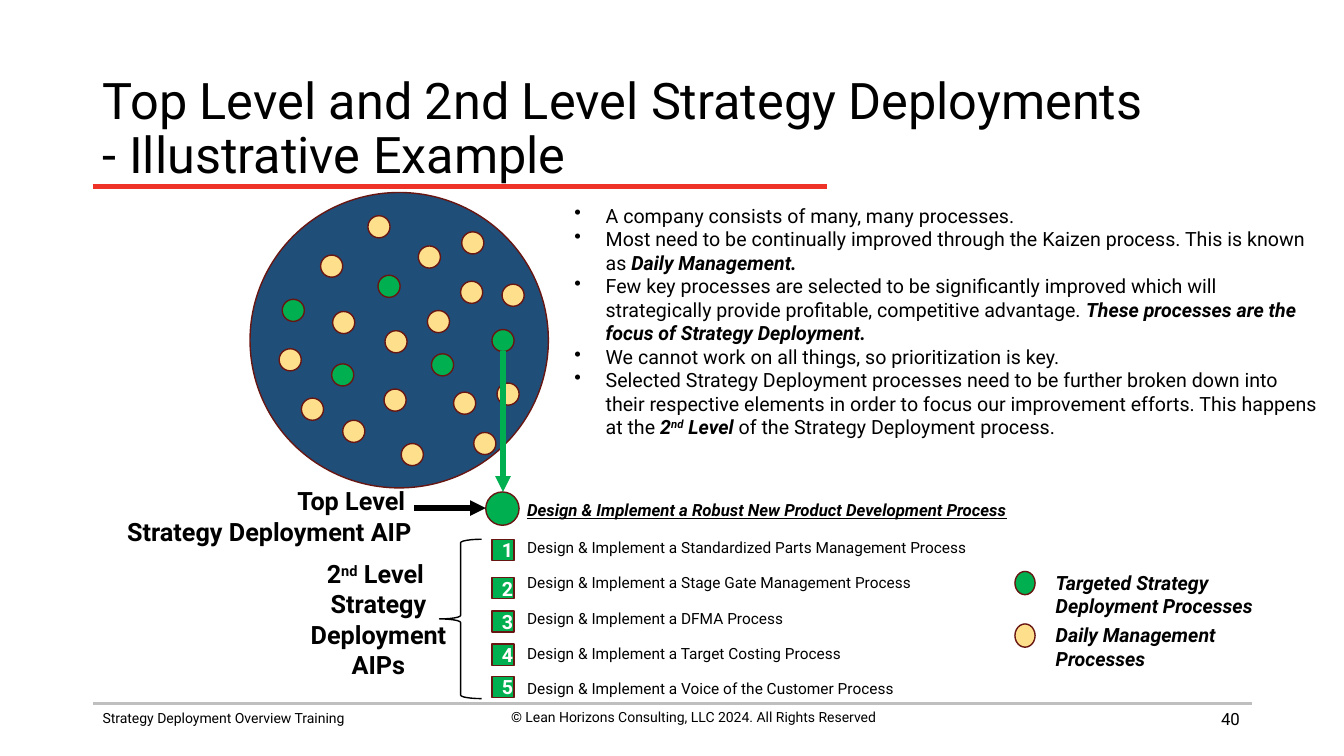
from lxml import etree
from pptx import Presentation
from pptx.dml.color import RGBColor
from pptx.enum.shapes import MSO_CONNECTOR, MSO_SHAPE
from pptx.enum.text import MSO_ANCHOR, MSO_AUTO_SIZE, PP_ALIGN
from pptx.oxml.ns import qn
from pptx.util import Pt

OVAL, RECT, BRACE = MSO_SHAPE.OVAL, MSO_SHAPE.RECTANGLE, MSO_SHAPE.LEFT_BRACE
STRAIGHT = MSO_CONNECTOR.STRAIGHT
LEFT, CENTER, RIGHT = PP_ALIGN.LEFT, PP_ALIGN.CENTER, PP_ALIGN.RIGHT
MIDDLE, TOP = MSO_ANCHOR.MIDDLE, MSO_ANCHOR.TOP
NO_FIT = MSO_AUTO_SIZE.NONE

FONT = "Roboto"
BLACK, WHITE, GRAY, RED = "000000", "FFFFFF", "BFBFBF", "EE3228"
NAVY, GREEN, YELLOW, MAROON = "1F4E79", "00B050", "FEDF8C", "681612"
STRONG = {"bold": True, "italic": True}
RAISED = {**STRONG, "base": 30000}

DOT = 15.8
DAILY = [
    (329.8, 165.6), (305.3, 221.8), (329, 200.9), (244.8, 300.2),
    (324, 280.1), (358.6, 203), (237.6, 222.5), (199.4, 249.1),
    (275, 236.2), (355, 273.6), (229, 182.2), (262.8, 154.1),
    (298.8, 175.7), (338.4, 308.9), (286.6, 316.8), (274.3, 277.9),
    (215.3, 284.4),
]
TARGET = [(236.9, 259.9), (308.2, 252.7), (201.6, 213.8),
          (351.4, 235.4), (270, 196.6)]
POINTS = [
    [("A company consists of many, many processes.", {})],
    [("Most need to be continually improved through the Kaizen process. "
      "This is known as ", {}), ("Daily Management.", STRONG)],
    [("Few key processes are selected to be significantly improved which "
      "will strategically provide profitable, competitive advantage. ", {}),
     ("These processes are the focus of Strategy Deployment.", STRONG)],
    [("We cannot work on all things, so prioritization is key.", {})],
    [("Selected Strategy Deployment processes need to be further broken "
      "down into their respective elements in order to focus our "
      "improvement efforts. This happens at the ", {}),
     ("2", STRONG), ("nd", RAISED), (" Level ", STRONG),
     ("of the Strategy Deployment process.", {})],
]
STEPS = ["Standardized Parts Management", "Stage Gate Management", "DFMA",
         "Target Costing", "Voice of the Customer"]
STEP_TOPS = [385.2, 412.6, 436.3, 460.1, 483.1]


def color(code):
    return RGBColor.from_string(code)


def style(run, size, tint=BLACK, base=0, **marks):
    values = {"name": FONT, "size": Pt(size), **marks}
    for key, value in values.items():
        setattr(run.font, key, value)
    run.font.color.rgb = color(tint)
    if base:
        run.font._element.set("baseline", str(base))


def fill_text(frame, paras, size, align=LEFT, anchor=TOP, **marks):
    """Write paragraphs, each a string or a list of (text, marks) runs."""
    frame.word_wrap = True
    frame.vertical_anchor = anchor
    for i, para in enumerate(paras):
        line = frame.add_paragraph() if i else frame.paragraphs[0]
        line.alignment = align
        for words, extra in [(para, {})] if isinstance(para, str) else para:
            run = line.add_run()
            run.text = words
            style(run, **{"size": size, **marks, **extra})


def add_text(slide, box, paras, size, **format):
    frame = slide.shapes.add_textbox(*map(Pt, box)).text_frame
    fill_text(frame, paras, size, **format)
    return frame


def add_shape(slide, kind, box, fill=None, edge=MAROON):
    shape = slide.shapes.add_shape(kind, *map(Pt, box))
    shape.shadow.inherit = False
    if fill:
        shape.fill.solid()
        shape.fill.fore_color.rgb = color(fill)
    else:
        shape.fill.background()
    shape.line.color.rgb = color(edge)
    shape.line.width = Pt(1)
    return shape


def add_line(slide, ends, tint, width, arrow=False):
    link = slide.shapes.add_connector(STRAIGHT, *map(Pt, ends))
    link.line.color.rgb = color(tint)
    link.line.width = Pt(width)
    if arrow:
        head = etree.SubElement(link.line._get_or_add_ln(), qn("a:tailEnd"))
        head.set("type", "triangle")
    etree.SubElement(link._element.spPr, qn("a:effectLst"))


def add_title(slide):
    title = slide.shapes.title
    box = {"left": 66.2, "top": 53.3, "width": 828, "height": 79.2}
    for key, value in box.items():
        setattr(title, key, Pt(value))
    frame = title.text_frame
    frame.text = ("Top Level and 2nd Level Strategy Deployments "
                  "\v- Illustrative Example")
    frame.auto_size = NO_FIT
    frame.vertical_anchor = MIDDLE
    line = frame.paragraphs[0]
    line.alignment, line.line_spacing = LEFT, 0.9
    for run in line.runs:
        style(run, 36)
    slide.shapes._spTree.append(title._element)


def add_frame(slide):
    """Draw the rules and the footer."""
    add_line(slide, (66.2, 502.6, 894.2, 502.6), GRAY, 2)
    add_line(slide, (66.2, 133.2, 590.4, 133.2), RED, 3)
    add_text(slide, (66.2, 503.3, 328.3, 31.7),
             ["Strategy Deployment Overview Training"], 10)
    add_text(slide, (331.2, 502.6, 328.3, 31.7),
             ["© Lean Horizons Consulting, LLC 2024. All Rights Reserved"],
             10, align=CENTER)
    add_text(slide, (676.8, 499, 216, 28.8), ["40"], 12,
             align=RIGHT, anchor=MIDDLE)


def add_cloud(slide):
    """Draw the large circle with its processes."""
    add_shape(slide, OVAL, (178.6, 137.5, 213.1, 211), NAVY)
    for spots, fill in ((DAILY, YELLOW), (TARGET, GREEN)):
        for left, top in spots:
            add_shape(slide, OVAL, (left, top, DOT, DOT), fill)
    add_shape(slide, OVAL, (347, 351.4, 23.8, 23.8), GREEN)


def add_points(slide):
    frame = add_text(slide, (403.2, 141.8, 546.5, 177.1), POINTS, 14)
    for line in frame.paragraphs:
        props = line._p.get_or_add_pPr()
        props.set("marL", str(Pt(22.3)))
        props.set("indent", str(-Pt(22.3)))
        etree.SubElement(props, qn("a:buChar")).set("char", "•")


def add_steps(slide):
    head = [("Design & Implement a Robust New Product Development Process",
             {**STRONG, "size": 12, "underline": True})]
    rows = [f"Design & Implement a {step} Process" for step in STEPS]
    frame = add_text(slide, (369.4, 353.3, 424.1, 156), [head, *rows], 11)
    for i, line in enumerate(frame.paragraphs[1:]):
        line.line_spacing = 0.95
        line.space_before = Pt(12.7 if i else 14)
    for i, top in enumerate(STEP_TOPS, 1):
        tile = add_shape(slide, RECT, (351.4, top, 15.8, 15.1), GREEN)
        fill_text(tile.text_frame, [str(i)], 14, align=CENTER,
                  anchor=MIDDLE, tint=WHITE, bold=True)


def add_levels(slide):
    add_shape(slide, BRACE, (313.9, 385.2, 30.2, 113.8), edge=BLACK)
    second = [("2", {}), ("nd", {"base": 30000}), (" Level ", {})]
    add_text(slide, (201.6, 395.3, 137.5, 94.3),
             [second, "Strategy Deployment AIPs"], 18,
             align=CENTER, bold=True)
    add_text(slide, (70.6, 343.4, 230.4, 51.1),
             ["Top Level ", "Strategy Deployment AIP"], 18,
             align=RIGHT, bold=True)
    add_line(slide, (295.9, 362.9, 347, 362.9), BLACK, 3.75, arrow=True)
    add_line(slide, (359.3, 250.6, 359.3, 351.4), GREEN, 3.75, arrow=True)


def add_key(slide):
    for top, fill, words, width in (
            (408.2, GREEN, "Targeted Strategy Deployment Processes", 177.8),
            (445.7, YELLOW, "Daily Management Processes", 166.3)):
        add_shape(slide, OVAL, (725, top, 14.4, 16.6), fill)
        add_text(slide, (747, top - 4, width, 41), [words], 14, **STRONG)


def main():
    deck = Presentation()
    deck.slide_width, deck.slide_height = Pt(960), Pt(540)
    slide = deck.slides.add_slide(deck.slide_layouts[5])
    add_frame(slide)
    add_title(slide)
    add_cloud(slide)
    add_points(slide)
    add_steps(slide)
    add_levels(slide)
    add_key(slide)
    deck.save("out.pptx")


if __name__ == "__main__":
    main()
